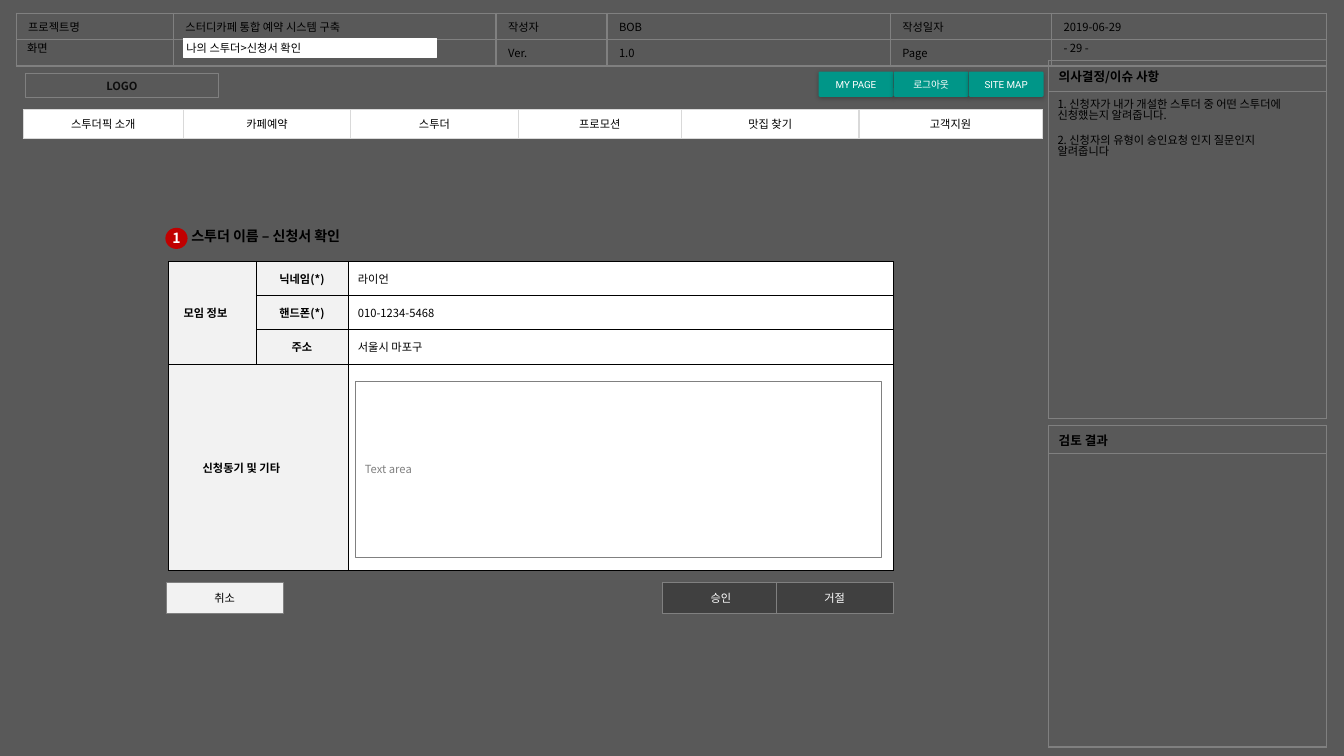
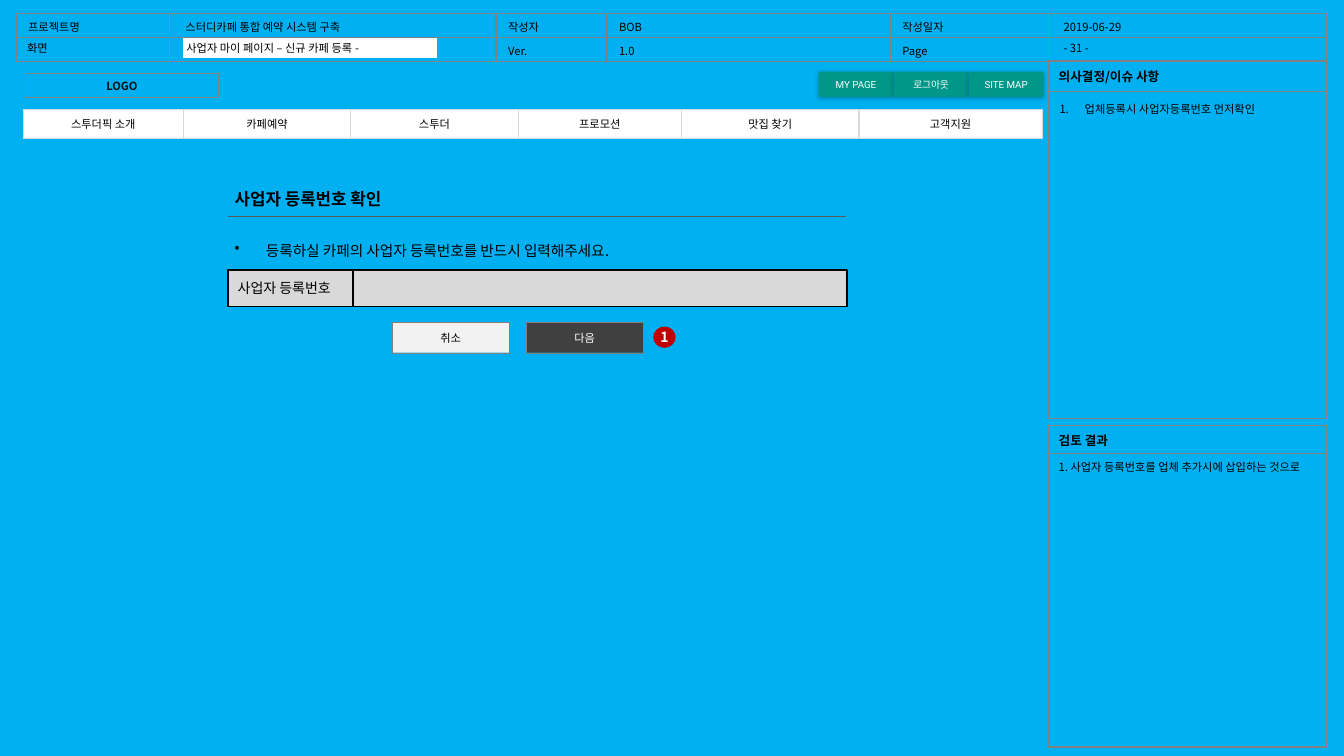
from lxml import etree
from pptx import Presentation
from pptx.dml.color import RGBColor
from pptx.enum.shapes import MSO_CONNECTOR, MSO_SHAPE
from pptx.enum.text import MSO_ANCHOR as ANCHOR, PP_ALIGN as ALIGN
from pptx.oxml.ns import qn
from pptx.util import Inches, Pt

COLORS = {
    "black": "000000", "logo": "0D0D0D", "white": "FFFFFF", "grey": "808080",
    "dark": "404040", "slate": "595959", "sky": "00B0F0", "pale": "F2F2F2",
    "silver": "D9D9D9", "teal": "009688", "red": "C00000",
}
FONT = "Noto Sans CJK KR"
BUTTON_FONT = "Roboto"

PROJECT_ROWS = [
    ["프로젝트명", "스터디카페 통합 예약 시스템 구축", "작성자", "BOB", "작성일자", "2019-06-29"],
    ["", "", "Ver.", "1.0", "Page", ""],
]
PROJECT_COLUMNS = [1.56, 3.2, 1.1, 2.81, 1.6, 2.73]
MENU = ["스투더픽 소개", "카페예약", "스투더", "프로모션", "맛집 찾기", "고객지원"]
MENU_COLUMNS = [1.59, 1.66, 1.66, 1.62, 1.76, 1.82]
TOP_BUTTONS = ["MY PAGE", "로그아웃", "SITE MAP"]

APPLICATION = {
    "background": "slate", "screen": "나의 스투더>신청서 확인", "page": "- 29 -", "review": "",
    "fields": [("닉네임(*)", "라이언"), ("핸드폰(*)", "010-1234-5468"), ("주소", "서울시 마포구")],
    "notes": [
        "1. 신청자가 내가 개설한 스투더 중 어떤 스투더에 신청했는지 알려줍니다.",
        "2. 신청자의 유형이 승인요청 인지 질문인지",
        "알려줍니다",
    ],
}
REGISTRATION = {
    "background": "sky", "screen": "사업자 마이 페이지 – 신규 카페 등록 -", "page": "- 31 -",
    "review": "1. 사업자 등록번호를 업체 추가시에 삽입하는 것으로",
    "notes": ["업체등록시 사업자등록번호 먼저확인"],
}


def rgb(name):
    return RGBColor.from_string(COLORS[name])


def box(left, top, width, height):
    return [Inches(value) for value in (left, top, width, height)]


def add_xml(parent, tag, **attributes):
    return etree.SubElement(parent, qn(tag), {key: str(value) for key, value in attributes.items()})


def add_text(paragraph, text, size=8, color="black", bold=False, align=ALIGN.LEFT, font=FONT):
    paragraph.alignment = align
    if not text:
        add_xml(paragraph._p, "a:endParaRPr", lang="ko-KR", sz=size * 100)
        return
    run = paragraph.add_run()
    run.text = text
    run.font.size = Pt(size)
    run.font.bold = bold
    run.font.name = font
    run.font.color.rgb = rgb(color)
    add_xml(run._r.get_or_add_rPr(), "a:ea", typeface=font)


def set_bullet(paragraph, indent, tag, **attributes):
    properties = paragraph._p.get_or_add_pPr()
    properties.set("marL", str(Inches(indent)))
    properties.set("indent", str(-Inches(indent)))
    add_xml(properties, tag, **attributes)


def add_label(slide, place, text, anchor=ANCHOR.MIDDLE, wrap=True, **style):
    """Add a text box with one paragraph and return its text frame."""
    frame = slide.shapes.add_textbox(*box(*place)).text_frame
    frame.word_wrap = wrap
    frame.vertical_anchor = anchor
    add_text(frame.paragraphs[0], text, **style)
    return frame


def add_box(slide, place, text="", fill=None, line=None, line_width=0.25,
            kind=MSO_SHAPE.RECTANGLE, margin=0.1, align=ALIGN.CENTER, **style):
    shape = slide.shapes.add_shape(kind, *box(*place))
    shape.shadow.inherit = False
    if fill:
        shape.fill.solid()
        shape.fill.fore_color.rgb = rgb(fill)
    else:
        shape.fill.background()
    if line:
        shape.line.color.rgb = rgb(line)
        shape.line.width = Pt(line_width)
    else:
        shape.line.fill.background()
    frame = shape.text_frame
    frame.word_wrap = True
    frame.vertical_anchor = ANCHOR.MIDDLE
    frame.margin_left = frame.margin_right = Inches(margin)
    add_text(frame.paragraphs[0], text, align=align, **style)
    return shape


def add_line(slide, start, end, color, width):
    line = slide.shapes.add_connector(
        MSO_CONNECTOR.STRAIGHT, *(Inches(value) for value in (*start, *end)))
    line.line.color.rgb = rgb(color)
    line.line.width = Pt(width)
    add_xml(line._element.spPr, "a:effectLst")


def add_grid(slide, left, top, columns, rows, border, border_width):
    """Add a table with plain borders and no fills."""
    place = box(left, top, sum(columns), sum(rows))
    table = slide.shapes.add_table(len(rows), len(columns), *place).table
    table.first_row = table.horz_banding = False
    for column, width in zip(table.columns, columns):
        column.width = Inches(width)
    for row, height in zip(table.rows, rows):
        row.height = Inches(height)
    for cell in table.iter_cells():
        properties = cell._tc.get_or_add_tcPr()
        for side in ("a:lnL", "a:lnR", "a:lnT", "a:lnB"):
            edge = add_xml(properties, side, w=Pt(border_width))
            add_xml(add_xml(edge, "a:solidFill"), "a:srgbClr", val=COLORS[border])
        cell.fill.background()
    return table


def fill_cell(cell, text, fill=None, margin=0.1, anchor=ANCHOR.MIDDLE, **style):
    cell.vertical_anchor = anchor
    cell.margin_left = cell.margin_right = Inches(margin)
    if fill:
        cell.fill.solid()
        cell.fill.fore_color.rgb = rgb(fill)
    add_text(cell.text_frame.paragraphs[0], text, **style)


def add_panel(slide, top, heading, rows, text=""):
    table = add_grid(slide, 10.4, top, [2.76], rows, "grey", 1)
    fill_cell(table.cell(0, 0), heading, size=9, bold=True)
    fill_cell(table.cell(1, 0), text, anchor=ANCHOR.TOP)


def add_action(slide, left, top, text, primary=True):
    fill, color = ("dark", "white") if primary else ("pale", "black")
    add_box(slide, (left, top, 1.16, 0.3), text, fill, "grey", color=color)


def add_marker(slide, left, top, number):
    add_box(slide, (left, top, 0.22, 0.21), number, "red", kind=MSO_SHAPE.OVAL,
            margin=0, size=10, color="white", bold=True)


def add_top_button(slide, left, text):
    button = add_box(slide, (left, 0.71, 0.74, 0.25), text, "teal", margin=0.08, size=7,
                     kind=MSO_SHAPE.ROUNDED_RECTANGLE, color="white", font=BUTTON_FONT)
    button.adjustments[0] = 0.05
    effects = button._element.spPr.find(qn("a:effectLst"))
    shadow = add_xml(effects, "a:outerShdw", blurRad=Pt(3), dist=Pt(1), dir=90 * 60000,
                     algn="t", rotWithShape=0)
    add_xml(add_xml(shadow, "a:srgbClr", val=COLORS["black"]), "a:alpha", val=25000)


def add_screen(presentation, content):
    """Add a slide with the frame that every screen shares."""
    slide = presentation.slides.add_slide(presentation.slide_layouts[6])
    slide.background.fill.solid()
    slide.background.fill.fore_color.rgb = rgb(content["background"])

    project = add_grid(slide, 0.16, 0.13, PROJECT_COLUMNS, [0.24, 0.24], "grey", 1)
    for row, texts in enumerate(PROJECT_ROWS):
        for column, text in enumerate(texts):
            fill_cell(project.cell(row, column), text, margin=0.12, anchor=ANCHOR.TOP)
    add_label(slide, (0.17, 0.36, 0.41, 0.24), "화면", wrap=False)
    add_label(slide, (10.45, 0.36, 1.07, 0.24), content["page"])
    add_box(slide, (1.82, 0.38, 2.51, 0.19), fill="white", line="white", line_width=1)
    add_label(slide, (1.75, 0.38, 2.62, 0.2), content["screen"])

    add_panel(slide, 0.6, "의사결정/이슈 사항", [0.31, 3.24])
    add_panel(slide, 4.22, "검토 결과", [0.28, 2.91], content["review"])

    add_box(slide, (0.25, 0.73, 1.92, 0.24), "LOGO", line="grey", line_width=0.75,
            color="logo", bold=True)
    menu = add_grid(slide, 0.23, 1.09, MENU_COLUMNS, [0.28], "silver", 1)
    for cell, text in zip(menu.iter_cells(), MENU):
        fill_cell(cell, text, "white", margin=0.12, align=ALIGN.CENTER)
    for index, text in enumerate(TOP_BUTTONS):
        add_top_button(slide, 8.12 + 0.745 * index, text)
    return slide


def add_notes_text(slide, place, notes):
    frame = add_label(slide, place, notes[0], anchor=ANCHOR.TOP)
    for note in notes[1:]:
        add_text(frame.add_paragraph(), note)
    for paragraph in frame.paragraphs:
        paragraph.line_spacing = 0.83
    return frame.paragraphs


def add_application(presentation):
    slide = add_screen(presentation, APPLICATION)
    notes = add_notes_text(slide, (10.39, 0.94, 2.62, 2.75), APPLICATION["notes"])
    notes[1].space_before = Pt(9.6)

    add_label(slide, (1.8, 2.21, 2.49, 0.27), "스투더 이름 – 신청서 확인", size=10, bold=True)
    add_marker(slide, 1.64, 2.26, "1")

    form = add_grid(slide, 1.67, 2.59, [0.87, 0.91, 5.41], [0.34, 0.34, 0.34, 2.05],
                    "black", 0.25)
    form.cell(0, 0).merge(form.cell(2, 0))
    form.cell(3, 0).merge(form.cell(3, 1))
    fill_cell(form.cell(0, 0), "모임 정보", "pale", margin=0.15, bold=True)
    fill_cell(form.cell(3, 0), "신청동기 및 기타", "pale", margin=0.34, bold=True)
    fill_cell(form.cell(3, 2), "", "white")
    for row, (name, value) in enumerate(APPLICATION["fields"]):
        fill_cell(form.cell(row, 1), name, "pale", bold=True, align=ALIGN.CENTER)
        fill_cell(form.cell(row, 2), value, "white")
    add_box(slide, (3.52, 3.78, 5.22, 1.75), "Text area", "white", "grey",
            color="grey", align=ALIGN.LEFT)

    add_action(slide, 1.65, 5.78, "취소", primary=False)
    add_action(slide, 6.57, 5.78, "승인")
    add_action(slide, 7.7, 5.78, "거절")


def add_registration(presentation):
    slide = add_screen(presentation, REGISTRATION)
    notes = add_notes_text(slide, (10.41, 0.99, 2.51, 1.34), REGISTRATION["notes"])
    set_bullet(notes[0], 0.25, "a:buAutoNum", type="arabicPeriod")

    add_label(slide, (2.23, 1.82, 2.03, 0.3), "사업자 등록번호 확인", size=12, bold=True)
    add_line(slide, (2.26, 2.15), (8.39, 2.15), "slate", 0.5)
    guide = add_label(slide, (2.23, 2.34, 6.76, 0.29),
                      "등록하실 카페의 사업자 등록번호를 반드시 입력해주세요.", size=10.5)
    set_bullet(guide.paragraphs[0], 0.31, "a:buChar", char="•")

    add_box(slide, (2.26, 2.68, 6.14, 0.36), "사업자 등록번호", "silver", "black",
            line_width=1, align=ALIGN.LEFT, size=10)
    add_line(slide, (3.5, 3.04), (3.5, 2.68), "black", 1)
    add_action(slide, 3.89, 3.2, "취소", primary=False)
    add_action(slide, 5.22, 3.2, "다음")
    add_marker(slide, 6.48, 3.24, "1")


def main():
    presentation = Presentation()
    presentation.slide_width = Inches(13.33)
    presentation.slide_height = Inches(7.5)
    add_application(presentation)
    add_registration(presentation)
    presentation.save("out.pptx")


if __name__ == "__main__":
    main()
